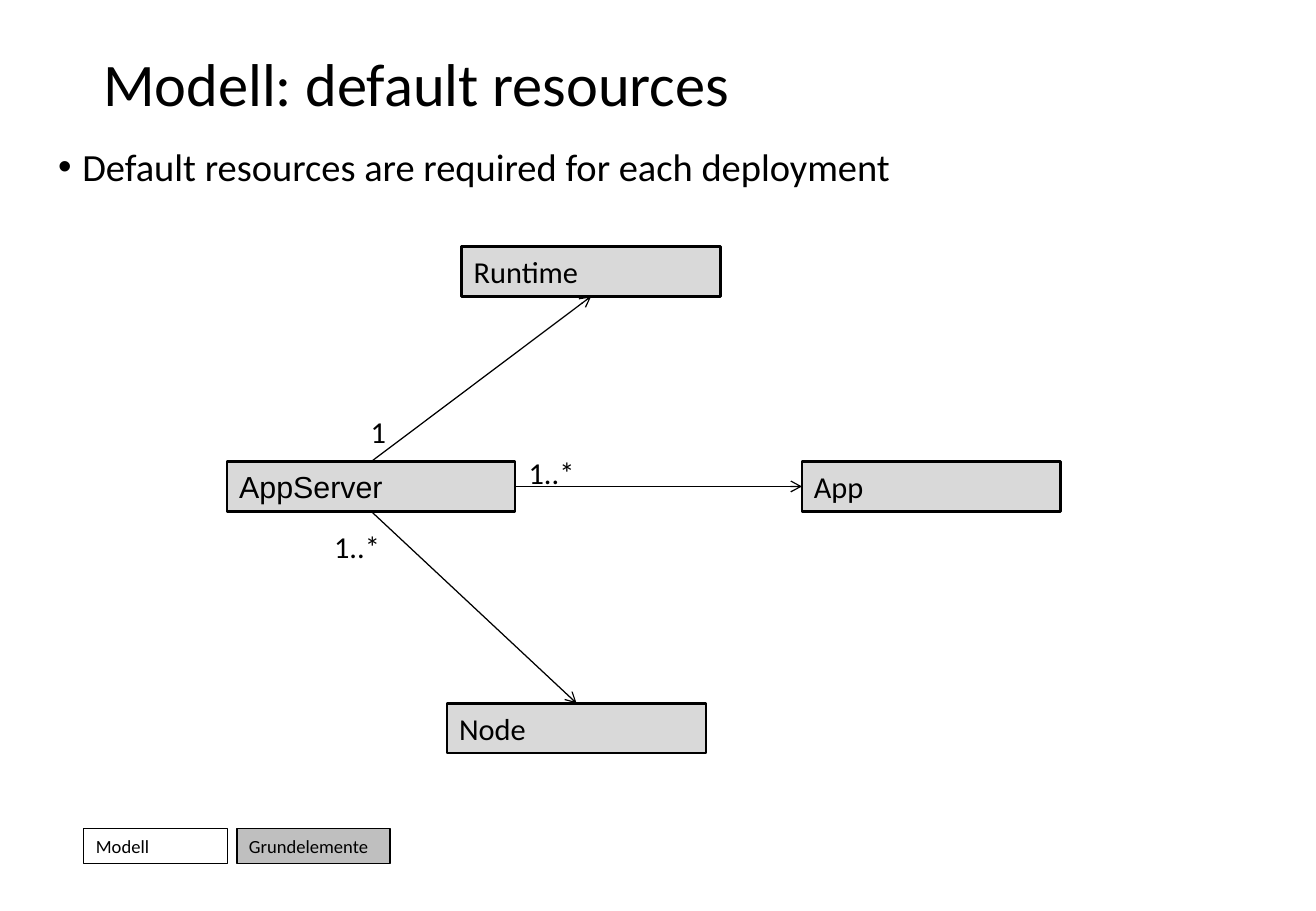
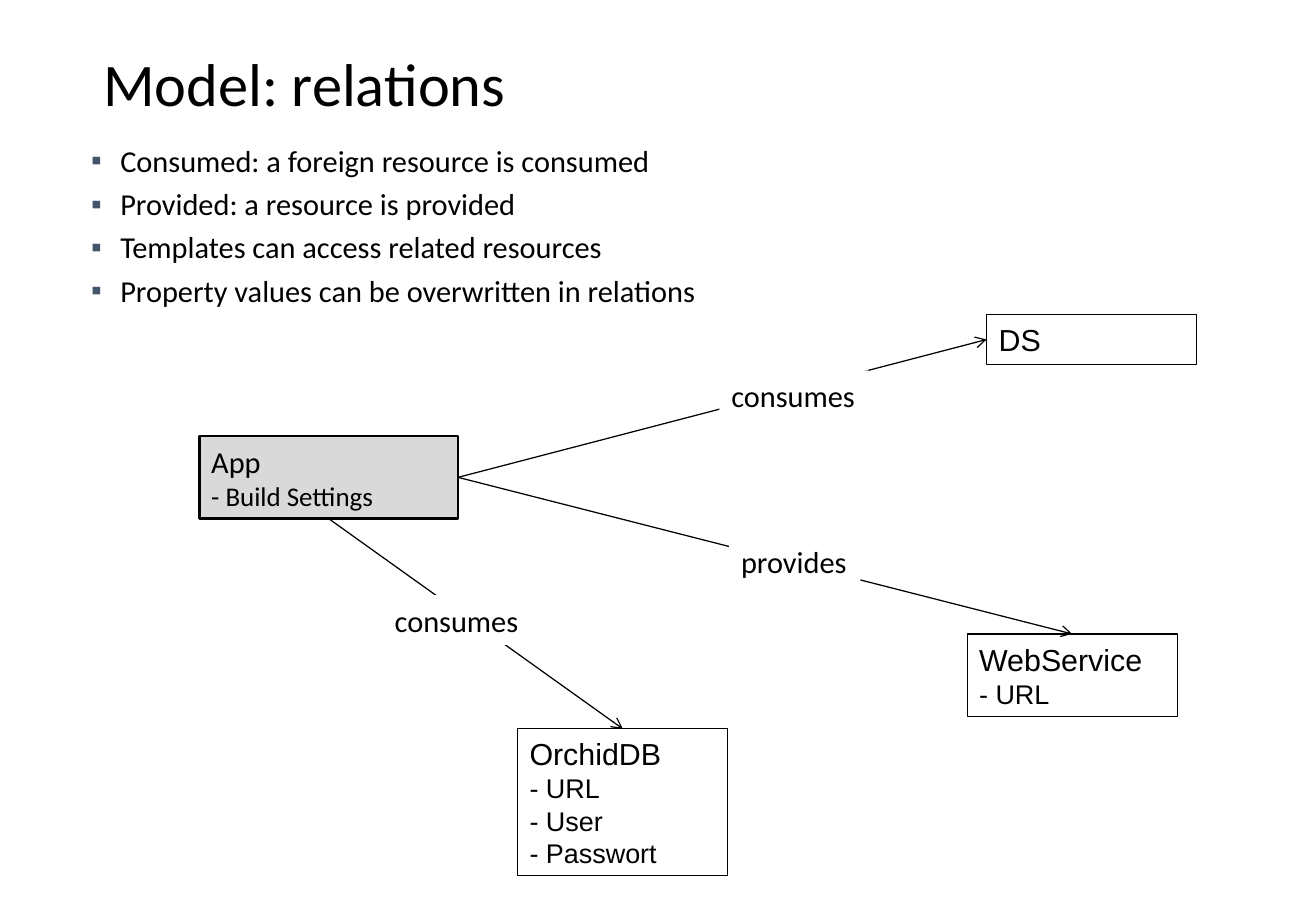
from dataclasses import dataclass

from lxml import etree
from pptx import Presentation
from pptx.dml.color import RGBColor
from pptx.enum.shapes import MSO_CONNECTOR, MSO_SHAPE
from pptx.enum.text import MSO_ANCHOR, PP_ALIGN
from pptx.oxml.ns import qn
from pptx.util import Inches, Pt

RECTANGLE = MSO_SHAPE.RECTANGLE
STRAIGHT = MSO_CONNECTOR.STRAIGHT
TOP, MIDDLE = MSO_ANCHOR.TOP, MSO_ANCHOR.MIDDLE
LEFT_ALIGNED = PP_ALIGN.LEFT
TOP_SIDE, LEFT_SIDE, BOTTOM_SIDE, RIGHT_SIDE = range(4)


@dataclass(frozen=True)
class Theme:
    body_font: str = "Calibri"
    code_font: str = "Arial"
    ink: str = "000000"
    paper: str = "FFFFFF"
    node: str = "D9D9D9"
    legend: str = "BFBFBF"
    bullet: str = "44546A"
    title_size: float = 35.8
    lead_size: float = 22.8
    text_size: float = 18
    detail_size: float = 16
    legend_size: float = 11
    thin: float = 0.75
    medium: float = 1
    thick: float = 1.5


THEME = Theme()

PLAIN = dict(fill=THEME.paper, line=THEME.thin, font=THEME.code_font)
CORE = dict(fill=THEME.node, line=THEME.thick, font=THEME.body_font)
CORE_CODE = {**CORE, "font": THEME.code_font}
LEGEND = dict(line=THEME.thin, font=THEME.body_font, size=THEME.legend_size)
LEGEND_MODEL = dict(LEGEND, fill=THEME.paper)
LEGEND_BASE = {**LEGEND, "fill": THEME.legend, "line": THEME.medium}
RELATION = dict(fill=THEME.paper, line=None, font=THEME.body_font, wrap=False)
MULTIPLICITY = dict(inset=False)

LEAD = dict(size=THEME.lead_size, spacing=0.9, bullet="•", indent=0.2)
POINTS = dict(size=THEME.text_size, after=4, bullet="▪", indent=0.24,
              bullet_color=THEME.bullet, inset=False)

SLIDES = [
    {
        "title": "Modell: default resources",
        "bullets": (["Default resources are required for each deployment"],
                    (0.38, 1.17, 10, 1.83), LEAD),
        "boxes": [
            (["Modell"], (0.69, 6.82, 1.18, 0.29), LEGEND_MODEL),
            (["Grundelemente"], (1.95, 6.82, 1.26, 0.29), LEGEND_BASE),
            (["Node"], (3.68, 5.79, 2.13, 0.41), CORE),
            (["AppServer"], (1.87, 3.8, 2.37, 0.41), CORE_CODE),
            (["App"], (6.6, 3.8, 2.13, 0.41), CORE),
            (["Runtime"], (3.8, 2.03, 2.13, 0.41), CORE),
        ],
        "links": [
            ("AppServer", RIGHT_SIDE, "App", LEFT_SIDE),
            ("AppServer", BOTTOM_SIDE, "Node", TOP_SIDE),
            ("AppServer", TOP_SIDE, "Runtime", BOTTOM_SIDE),
        ],
        "multiplicities": [
            ("1..*", (4.35, 3.74, 0.51, 0.4)),
            ("1", (3.05, 3.4, 0.26, 0.4)),
            ("1..*", (2.75, 4.35, 0.6, 0.44)),
        ],
        "relations": [],
    },
    {
        "title": "Model: relations",
        "bullets": (["Consumed: a foreign resource is consumed",
                     "Provided: a resource is provided",
                     "Templates can access related resources",
                     "Property values can be overwritten in relations"],
                    (0.75, 1.17, 9.43, 1.62), POINTS),
        "boxes": [
            (["App", "- Build Settings"], (1.64, 3.59, 2.13, 0.68), CORE),
            (["OrchidDB", "- URL", "- User", "- Passwort"],
             (4.26, 6, 1.73, 1.21), PLAIN),
            (["WebService", "- URL"], (7.96, 5.22, 1.73, 0.68), PLAIN),
            (["DS"], (8.12, 2.59, 1.73, 0.41), PLAIN),
        ],
        "links": [
            ("App", BOTTOM_SIDE, "OrchidDB", TOP_SIDE),
            ("App", RIGHT_SIDE, "WebService", TOP_SIDE),
            ("App", RIGHT_SIDE, "DS", LEFT_SIDE),
        ],
        "multiplicities": [],
        "relations": [
            ("provides", (6, 4.42, 1.08, 0.41)),
            ("consumes", (3.15, 4.9, 1.23, 0.41)),
            ("consumes", (5.92, 3.05, 1.23, 0.41)),
        ],
    },
]


def rgb(value):
    return RGBColor.from_string(value)


def place(frame):
    return [Inches(length) for length in frame]


def style(para, text, size, font=THEME.body_font):
    para.text = text
    para.alignment = LEFT_ALIGNED
    para.font.size = Pt(size)
    para.font.name = font
    para.font.color.rgb = rgb(THEME.ink)


def paragraphs(text_frame, lines):
    for index, line in enumerate(lines):
        yield (text_frame.add_paragraph() if index else text_frame.paragraphs[0]), line


def set_bullet(para, character, indent, color):
    properties = para._p.get_or_add_pPr()
    properties.set("marL", str(Inches(indent)))
    properties.set("indent", str(-Inches(indent)))
    if color:
        holder = etree.SubElement(properties, qn("a:buClr"))
        etree.SubElement(holder, qn("a:srgbClr"), val=color)
    etree.SubElement(properties, qn("a:buFont"), typeface=THEME.code_font)
    etree.SubElement(properties, qn("a:buChar"), char=character)
    defaults = properties.find(qn("a:defRPr"))
    if defaults is not None:
        properties.append(defaults)


def add_text(slide, lines, frame, size=THEME.text_size, spacing=None, after=0,
             bullet=None, indent=0, bullet_color=None, inset=True):
    box = slide.shapes.add_textbox(*place(frame))
    text_frame = box.text_frame
    text_frame.word_wrap = True
    text_frame.vertical_anchor = TOP
    if not inset:
        text_frame.margin_left = text_frame.margin_right = 0
        text_frame.margin_top = text_frame.margin_bottom = 0
    for para, line in paragraphs(text_frame, lines):
        style(para, line, size)
        para.space_after = Pt(after)
        if spacing:
            para.line_spacing = spacing
        if bullet:
            set_bullet(para, bullet, indent, bullet_color)


def add_box(slide, lines, frame, fill, line, font, size=THEME.text_size, wrap=True):
    box = slide.shapes.add_shape(RECTANGLE, *place(frame))
    box.shadow.inherit = False
    box.fill.solid()
    box.fill.fore_color.rgb = rgb(fill)
    if line:
        box.line.color.rgb = rgb(THEME.ink)
        box.line.width = Pt(line)
    else:
        box.line.fill.background()
    box.text_frame.word_wrap = wrap
    box.text_frame.vertical_anchor = MIDDLE
    sizes = [size] + [THEME.detail_size] * (len(lines) - 1)
    for (para, text), text_size in zip(paragraphs(box.text_frame, lines), sizes):
        style(para, text, text_size, font)
    return box


def add_arrow(slide, start, start_side, end, end_side):
    arrow = slide.shapes.add_connector(STRAIGHT, 0, 0, 0, 0)
    arrow.begin_connect(start, start_side)
    arrow.end_connect(end, end_side)
    arrow.line.color.rgb = rgb(THEME.ink)
    arrow.line.width = Pt(THEME.thin)
    etree.SubElement(arrow.line._get_or_add_ln(), qn("a:tailEnd"), type="arrow")
    etree.SubElement(arrow._element.spPr, qn("a:effectLst"))


def build_slide(deck, content):
    slide = deck.slides.add_slide(deck.slide_layouts[6])
    add_text(slide, [content["title"]], (0.75, 0.4, 9.34, 0.99),
             size=THEME.title_size, spacing=0.9)
    lines, frame, options = content["bullets"]
    add_text(slide, lines, frame, **options)
    boxes = {lines[0]: add_box(slide, lines, frame, **options)
             for lines, frame, options in content["boxes"]}
    for start, start_side, end, end_side in content["links"]:
        add_arrow(slide, boxes[start], start_side, boxes[end], end_side)
    for text, frame in content["multiplicities"]:
        add_text(slide, [text], frame, **MULTIPLICITY)
    for text, frame in content["relations"]:
        add_box(slide, [text], frame, **RELATION)


def main():
    deck = Presentation()
    deck.slide_width, deck.slide_height = Inches(10.83), Inches(7.5)
    for content in SLIDES:
        build_slide(deck, content)
    deck.save("out.pptx")


if __name__ == "__main__":
    main()
